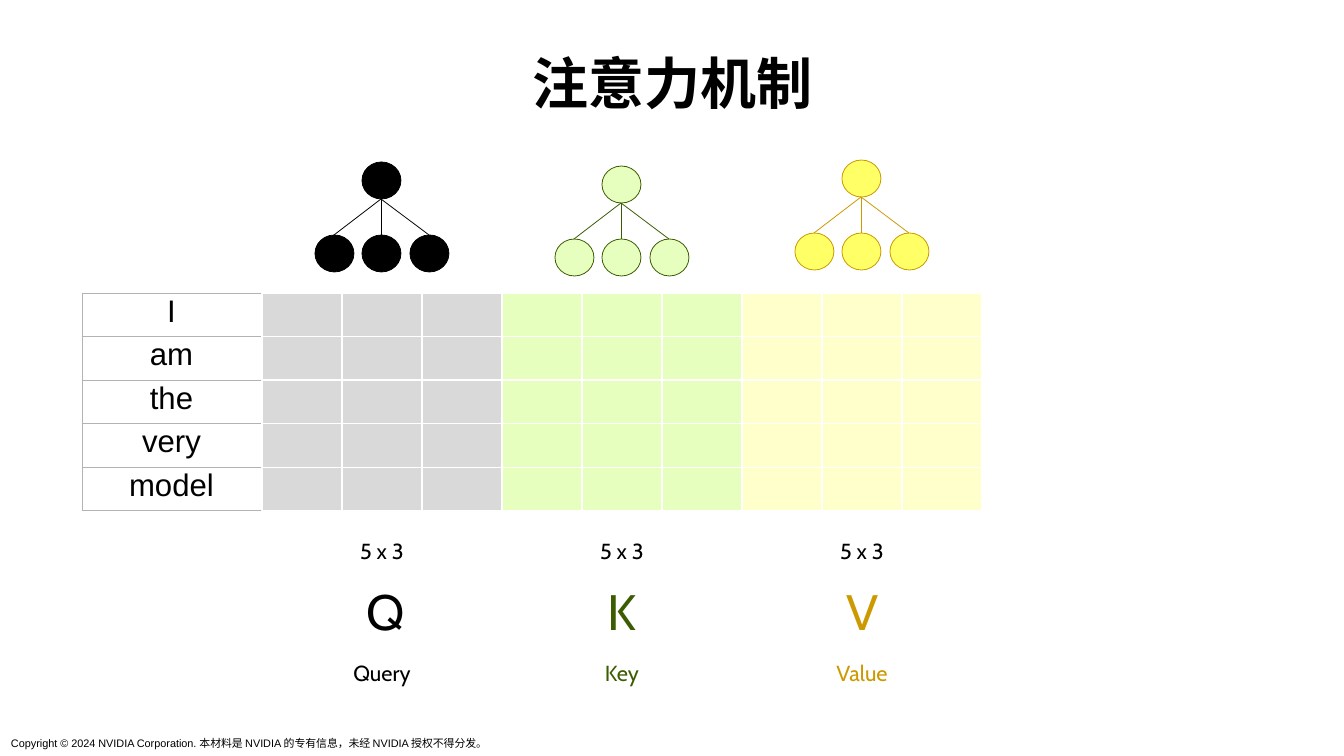
from lxml import etree
from pptx import Presentation
from pptx import util as u
from pptx.dml.color import RGBColor
from pptx.enum import shapes, text
from pptx.oxml.ns import qn

COLORS = {
    "black": "000000", "white": "FFFFFF", "border": "B3B3B3",
    "gray": "D9D9D9", "lime": "E7FFBE", "olive": "3B5C00",
    "yellow": "FFFF66", "cream": "FFFFCC", "gold": "CC9900",
}
BODY, LABEL, CJK = "Cabin", "Arial", "Noto Sans CJK SC"
WORDS = ["I", "am", "the", "very", "model"]
# letter, name, ink, node fill, cell fill, top of tree
PROJECTIONS = [
    ("Q", "Query", "black", "black", "gray", 162),
    ("K", "Key", "olive", "lime", "lime", 166),
    ("V", "Value", "gold", "yellow", "cream", 160),
]
MATRIX_LEFT, MATRIX_TOP, MATRIX_W, MATRIX_H = 262, 293, 240, 218


def px(n):
    return u.Emu(round(n * 914400 / 112))


def rgb(name):
    return RGBColor.from_string(COLORS[name])


class SlideBuilder:
    def __init__(self, slide):
        self.slide = slide

    def style_text(self, paragraph, size, font, color, bold=False):
        for run in paragraph.runs:
            run.font.size = u.Pt(size)
            run.font.name = font
            run.font.bold = bold
            run.font.color.rgb = rgb(color)
            east_asian = etree.SubElement(run.font._element, qn("a:ea"))
            east_asian.set("typeface", CJK)

    def text(self, words, left, top, width, height, size, font=BODY, color="black",
             bold=False, align=text.PP_ALIGN.CENTER,
             anchor=text.MSO_ANCHOR.MIDDLE, spacing=0.9, wrap=True):
        box = self.slide.shapes.add_textbox(px(left), px(top), px(width), px(height))
        frame = box.text_frame
        frame.text = words
        frame.word_wrap = wrap
        frame.vertical_anchor = anchor
        paragraph = frame.paragraphs[0]
        paragraph.alignment = align
        paragraph.line_spacing = spacing
        self.style_text(paragraph, size, font, color, bold)

    def node(self, group, left, top, fill, ink):
        circle = group.shapes.add_shape(
            shapes.MSO_SHAPE.OVAL, px(left), px(top), px(39), px(37))
        circle.shadow.inherit = False
        circle.fill.solid()
        circle.fill.fore_color.rgb = rgb(fill)
        circle.line.color.rgb = rgb(ink)
        circle.line.width = u.Pt(0.5)

    def branch(self, group, x1, y1, x2, y2, ink):
        line = group.shapes.add_connector(
            shapes.MSO_CONNECTOR.STRAIGHT, px(x1), px(y1), px(x2), px(y2))
        line.line.color.rgb = rgb(ink)
        line.line.width = u.Pt(0.5)
        etree.SubElement(line._element.spPr, qn("a:effectLst"))

    def tree(self, center, top, fill, ink):
        """Draw one root node joined to three nodes below it."""
        group = self.slide.shapes.add_group_shape()
        leaves = [center + offset for offset in (-47, 0, 48)]
        for x, y in [(center, top)] + [(leaf, top + 73) for leaf in leaves]:
            self.node(group, x - 19, y, fill, ink)
        for leaf in leaves:
            self.branch(group, center, top + 37, leaf, top + 73, ink)

    def border(self, cell, color, width):
        properties = cell._tc.get_or_add_tcPr()
        for side in ("lnL", "lnR", "lnT", "lnB"):
            line = etree.SubElement(properties, qn("a:" + side), w=str(u.Pt(width)))
            solid = etree.SubElement(line, qn("a:solidFill"))
            etree.SubElement(solid, qn("a:srgbClr"), val=COLORS[color])

    def table(self, left, width, columns, border, border_width, fill=None, words=()):
        """Draw a table with one row per word; only the first column may hold text."""
        table = self.slide.shapes.add_table(
            len(WORDS), columns, px(left), px(MATRIX_TOP), px(width), px(MATRIX_H)).table
        table.first_row = table.horz_banding = False
        for cell in table.iter_cells():
            self.border(cell, border, border_width)
            cell.margin_left = cell.margin_right = px(3)
            cell.margin_top = cell.margin_bottom = px(1)
            if fill:
                cell.fill.solid()
                cell.fill.fore_color.rgb = rgb(fill)
            else:
                cell.fill.background()
        for row, word in enumerate(words):
            frame = table.cell(row, 0).text_frame
            frame.text = word
            frame.paragraphs[0].alignment = text.PP_ALIGN.CENTER
            self.style_text(frame.paragraphs[0], 20, LABEL, "black")


def main():
    deck = Presentation()
    deck.slide_width, deck.slide_height = px(1344), px(756)
    builder = SlideBuilder(deck.slides.add_slide(deck.slide_layouts[6]))

    builder.text("注意力机制", 61, 49, 1222, 73, 36, CJK, bold=True,
                 anchor=text.MSO_ANCHOR.BOTTOM)
    builder.table(82, 179, 1, "border", 0.5, words=WORDS)
    for index, (letter, name, ink, node_fill, cell_fill, top) in enumerate(PROJECTIONS):
        left = MATRIX_LEFT + index * MATRIX_W
        center = left + MATRIX_W // 2
        builder.tree(center - 1, top, node_fill, ink)
        builder.table(left, MATRIX_W, 3, "white", 1, cell_fill)
        builder.text("5 x 3", center - 73, 535, 146, 35, 14)
        builder.text(letter, center - 27, 581, 54, 66, 32, color=ink, wrap=False)
        builder.text(name, center - 40, 657, 80, 35, 14, color=ink, wrap=False)
    builder.text("Copyright © 2024 NVIDIA Corporation. 本材料是 NVIDIA 的专有信息，未经 NVIDIA 授权不得分发。",
                 0, 731, 507, 25, 7, LABEL, align=text.PP_ALIGN.LEFT,
                 anchor=text.MSO_ANCHOR.TOP, spacing=1.0)
    deck.save("out.pptx")


if __name__ == "__main__":
    main()
